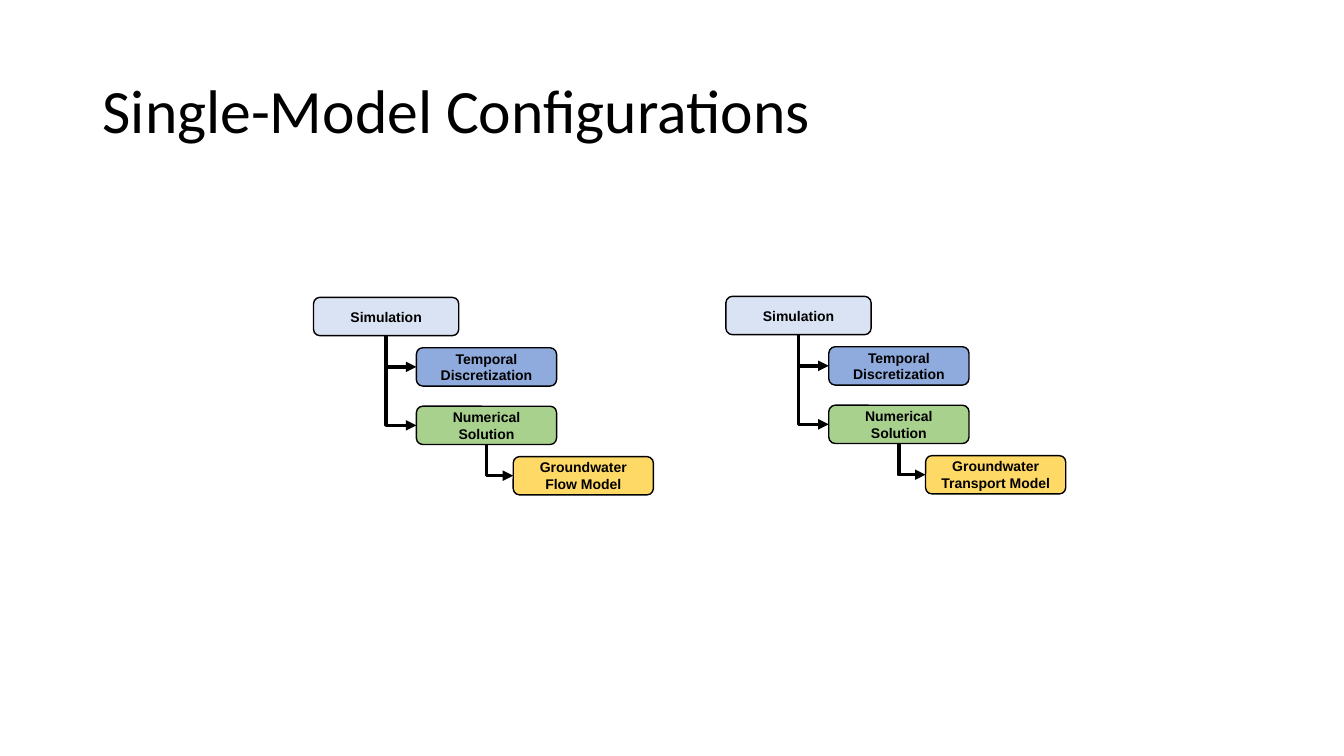
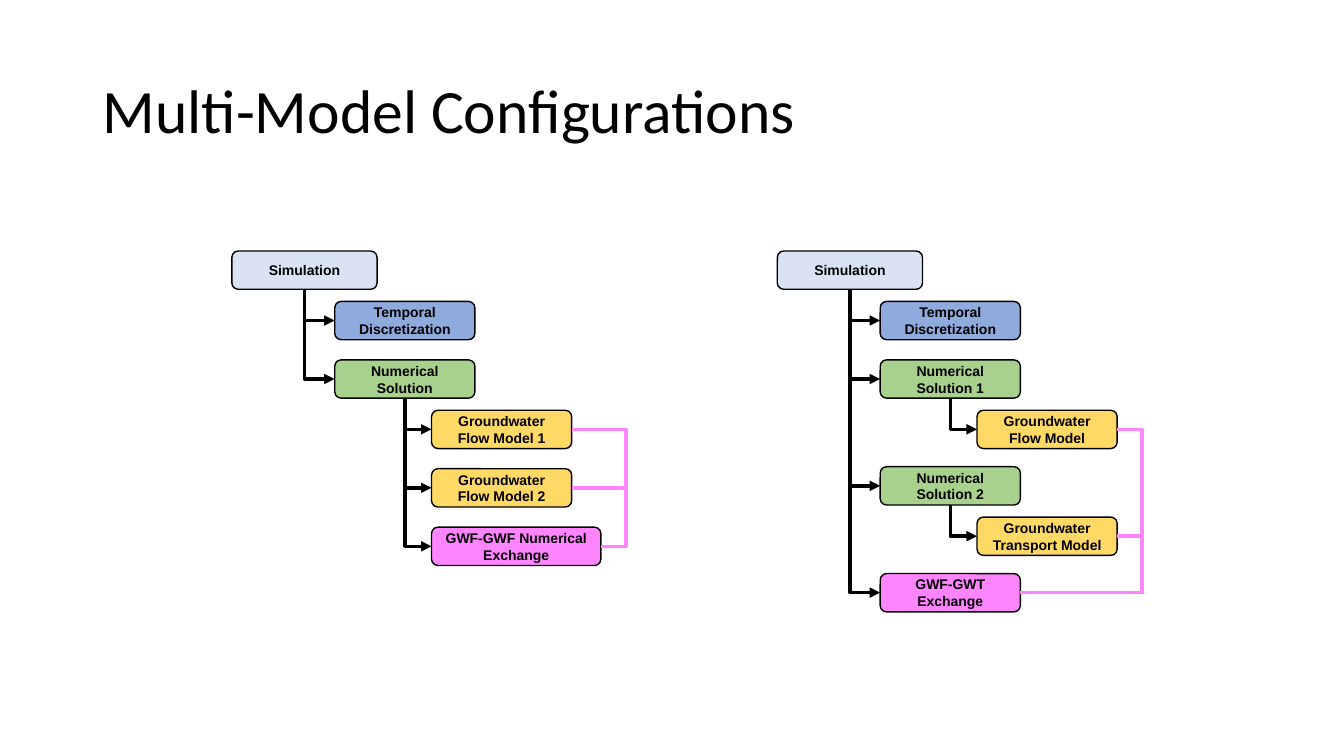
"""Build two slides of model configuration trees joined by elbow connectors."""
from dataclasses import dataclass, field

from lxml import etree
from pptx import Presentation, util as u
from pptx.dml.color import RGBColor
from pptx.enum import shapes, text
from pptx.oxml.ns import qn


@dataclass(frozen=True)
class Theme:
    """Colours, fonts, type sizes and grid lengths in inches."""
    ink: str = "000000"
    link: str = "FF85FF"
    fills: dict = field(default_factory=lambda: {
        "simulation": "DAE3F3", "time": "8FAADC", "solution": "A9D18E",
        "model": "FFD966", "exchange": "FF85FF"})
    title_font: str = "Calibri"
    body_font: str = "Arial"
    title_size: float = 44
    body_size: float = 10
    box_line: float = 1
    link_line: float = 2.5
    columns: tuple = (0, 1.02, 1.98)
    widths: tuple = (1.44, 1.39, 1.39)
    wide: float = 1.68
    height: float = 0.38
    step_in: float = 0.5
    step_same: float = 0.58
    step_out: float = 0.56
    bus_gap: float = 0.25


T = Theme()
TOP, LEFT, BOTTOM, RIGHT = range(4)
HEAD = [(0, "simulation", "Simulation"), (1, "time", "Temporal Discretization")]
SINGLE = [
    (3.11, 2.95, HEAD + [(1, "solution", "Numerical Solution"),
                         (2, "model", "Groundwater Flow Model")]),
    (7.2, 2.94, HEAD + [(1, "solution", "Numerical Solution"),
                        (2, "model", "Groundwater Transport Model")]),
]
MULTI = [
    (2.3, 2.49, HEAD + [(1, "solution", "Numerical Solution"),
                        (2, "model", "Groundwater Flow Model 1"),
                        (2, "model", "Groundwater Flow Model 2"),
                        (2, "exchange", "GWF-GWF Numerical Exchange")]),
    (7.71, 2.49, HEAD + [(1, "solution", "Numerical Solution 1"),
                         (2, "model", "Groundwater Flow Model"),
                         (1, "solution", "Numerical Solution 2"),
                         (2, "model", "Groundwater Transport Model"),
                         (1, "exchange", "GWF-GWT Exchange")]),
]


def put_text(shape, words, *, font=T.body_font, size=T.body_size, bold=False,
             align=text.PP_ALIGN.LEFT, spacing=1.0):
    """Write one formatted, vertically centred paragraph into a shape."""
    tf = shape.text_frame
    tf.word_wrap = True
    tf.vertical_anchor = text.MSO_ANCHOR.MIDDLE
    p = tf.paragraphs[0]
    p.alignment, p.line_spacing = align, spacing
    r = p.add_run()
    r.text = words
    r.font.name, r.font.size, r.font.bold = font, u.Pt(size), bold
    r.font.color.rgb = RGBColor.from_string(T.ink)


def add_title(s, words):
    """Add the slide title."""
    box = s.shapes.add_textbox(*map(u.Inches, (0.92, 0.4, 11.5, 1.45)))
    put_text(box, words, font=T.title_font, size=T.title_size, spacing=0.9)


def add_node(s, left, top, width, kind, words):
    """Add one rounded box of the tree."""
    sp = s.shapes.add_shape(shapes.MSO_SHAPE.ROUNDED_RECTANGLE,
                            *map(u.Inches, (left, top, width, T.height)))
    sp.shadow.inherit = False
    sp.fill.solid()
    sp.fill.fore_color.rgb = RGBColor.from_string(T.fills[kind])
    sp.line.color.rgb = RGBColor.from_string(T.ink)
    sp.line.width = u.Pt(T.box_line)
    put_text(sp, words, bold=True, align=text.PP_ALIGN.CENTER)
    return sp


def add_elbow(s, start, start_side, end, end_side, color):
    """Join two boxes with an elbow connector and return it."""
    c = s.shapes.add_connector(shapes.MSO_CONNECTOR.ELBOW,
                               start.left, start.top, end.left, end.top)
    c.begin_connect(start, start_side)
    c.end_connect(end, end_side)
    c.line.color.rgb = RGBColor.from_string(color)
    c.line.width = u.Pt(T.link_line)
    etree.SubElement(c._element.spPr, qn("a:effectLst"))
    return c


def add_branch(s, parent, child):
    """Draw an arrow down from a parent and right into its child."""
    c = add_elbow(s, child, LEFT, parent, BOTTOM, T.ink)
    c._element.spPr.find(qn("a:prstGeom")).set("prst", "bentConnector2")
    etree.SubElement(c.line._get_or_add_ln(), qn("a:headEnd"), type="triangle")


def add_bracket(s, model, exchange, bus):
    """Link a model to its exchange by way of a vertical bus on the right."""
    c = add_elbow(s, model, RIGHT, exchange, RIGHT, T.link)
    ratio = (bus - c.begin_x) / (c.end_x - c.begin_x)
    geom = c._element.spPr.find(qn("a:prstGeom"))
    guides = geom.get_or_add_avLst()
    etree.SubElement(guides, qn("a:gd"), name="adj1", fmla=f"val {round(ratio * 100000)}")


def add_tree(s, left, top, nodes):
    """Lay out an indented tree, its branches and its exchange links."""
    parents, models, last = {}, [], 0
    for level, kind, words in nodes:
        if parents:
            top += (T.step_in if level > last else
                    T.step_out if level < last else T.step_same)
        wide = kind == "exchange" and level == 2
        width = T.wide if wide else T.widths[level]
        sp = add_node(s, left + T.columns[level], top, width, kind, words)
        if level:
            add_branch(s, parents[level - 1], sp)
        if kind == "model":
            models.append(sp)
        if kind == "exchange":
            bus = max(b.left + b.width for b in models + [sp]) + u.Inches(T.bus_gap)
            for model in models:
                add_bracket(s, model, sp, bus)
        parents[level], last = sp, level


def main():
    """Build and save the presentation."""
    prs = Presentation()
    prs.slide_width, prs.slide_height = u.Inches(13.33), u.Inches(7.5)
    for title, trees in (("Single-Model Configurations", SINGLE),
                         ("Multi-Model Configurations", MULTI)):
        s = prs.slides.add_slide(prs.slide_layouts[6])
        add_title(s, title)
        for tree in trees:
            add_tree(s, *tree)
    prs.save("out.pptx")


if __name__ == "__main__":
    main()
